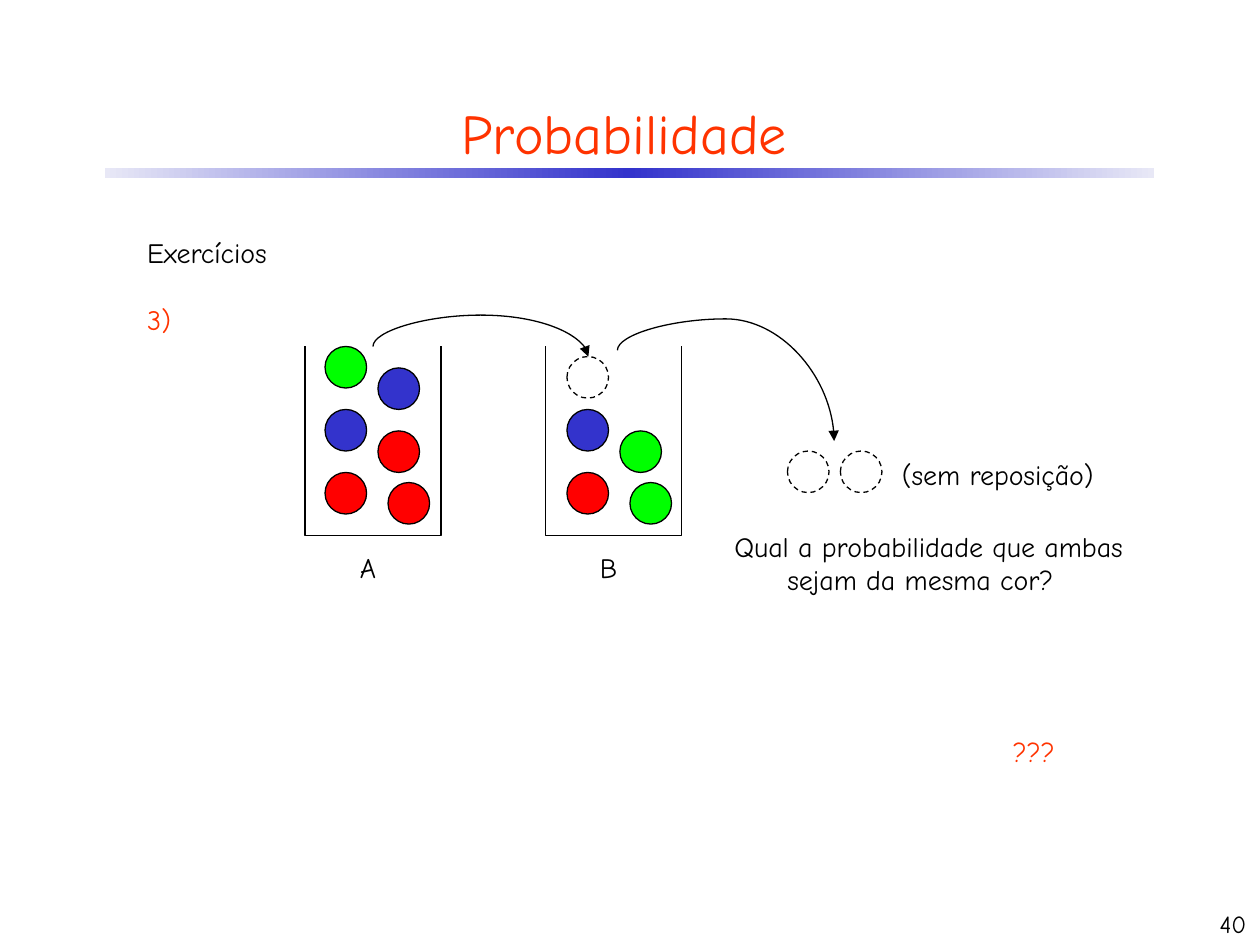
from copy import deepcopy

from lxml import etree
from pptx import Presentation
from pptx.dml.color import RGBColor
from pptx.enum.dml import MSO_LINE
from pptx.enum.shapes import MSO_CONNECTOR, MSO_SHAPE
from pptx.enum.text import MSO_ANCHOR, MSO_AUTO_SIZE, PP_ALIGN
from pptx.oxml.ns import qn
from pptx.util import Inches, Pt

CURVE = MSO_CONNECTOR.CURVE
OVAL, RECT = MSO_SHAPE.OVAL, MSO_SHAPE.RECTANGLE
DASH = MSO_LINE.DASH
MIDDLE, TOP, BOTTOM = MSO_ANCHOR.MIDDLE, MSO_ANCHOR.TOP, MSO_ANCHOR.BOTTOM
LEFT, CENTER, RIGHT = PP_ALIGN.LEFT, PP_ALIGN.CENTER, PP_ALIGN.RIGHT
FIT = MSO_AUTO_SIZE.SHAPE_TO_FIT_TEXT

FONT = "Comic Neue"
COLORS = {"black": "000000", "accent": "FF3300", "pale": "E8E8F6",
          "blue": "3333CC", "green": "00FF00", "red": "FF0000"}
BALL = 0.33
JAR_A = [(0.16, 0, "green"), (0.58, 0.17, "blue"), (0.16, 0.5, "blue"),
         (0.58, 0.67, "red"), (0.16, 1, "red"), (0.66, 1.08, "red")]
JAR_B = [(0.17, 0.5, "blue"), (0.59, 0.67, "green"),
         (0.17, 1, "red"), (0.67, 1.08, "green")]


def rgb(name):
    return RGBColor.from_string(COLORS[name])


def style_paragraph(p, size, color, align):
    p.alignment = align
    p.font.name = FONT
    p.font.size = Pt(size)
    p.font.color.rgb = rgb(color)


def add_text(s, box, lines, size=16, align=LEFT, anchor=TOP, wrap=True, hang=0, fit=True):
    tf = s.shapes.add_textbox(*map(Inches, box)).text_frame
    tf.word_wrap = wrap
    tf.vertical_anchor = anchor
    if fit:
        tf.auto_size = FIT
    for i, (text, color) in enumerate(lines):
        p = tf.add_paragraph() if i else tf.paragraphs[0]
        p.text = text
        style_paragraph(p, size, color, align)
        if i:
            p.space_before = Pt(19)
        if hang:
            pPr = p._p.get_or_add_pPr()
            pPr.set("marL", str(Inches(hang)))
            pPr.set("indent", str(-Inches(hang)))


def outline(sp):
    sp.line.color.rgb = rgb("black")
    sp.line.width = Pt(0.75)


def add_ball(shapes, x, y, color=None):
    sp = shapes.add_shape(OVAL, Inches(x), Inches(y), Inches(BALL), Inches(BALL))
    sp.shadow.inherit = False
    outline(sp)
    if color:
        sp.fill.solid()
        sp.fill.fore_color.rgb = rgb(color)
    else:
        sp.fill.background()
        sp.line.dash_style = DASH


def add_jar(s, box, balls):
    x, y, w, h = box
    shapes = s.shapes.add_group_shape().shapes
    fb = shapes.build_freeform(Inches(x), Inches(y))
    corners = [(x, y + h), (x + w, y + h), (x + w, y)]
    fb.add_line_segments([(Inches(cx), Inches(cy)) for cx, cy in corners], close=False)
    sp = fb.convert_to_shape()
    sp.shadow.inherit = False
    sp.fill.background()
    outline(sp)
    for dx, dy, color in balls:
        add_ball(shapes, x + dx, y + dy, color)


def add_arc_arrow(s, start, end, rise=0.25):
    (x1, y1), (x2, y2) = start, end
    cx, cy = (x1 + x2) / 2, (y1 + y2) / 2
    run, drop = x2 - x1, y2 - y1
    c = s.shapes.add_connector(CURVE, Inches(cx - drop / 2), Inches(cy + run / 2),
                               Inches(cx + drop / 2), Inches(cy - run / 2))
    outline(c)
    spPr = c._element.spPr
    spPr.find(qn("a:xfrm")).set("rot", "5400000")
    geom = spPr.find(qn("a:prstGeom"))
    guides = geom.find(qn("a:avLst"))
    if guides is None:
        guides = etree.SubElement(geom, qn("a:avLst"))
    etree.SubElement(guides, qn("a:gd"), name="adj1",
                     fmla=f"val {round(-rise / drop * 100000)}")
    etree.SubElement(spPr.find(qn("a:ln")), qn("a:tailEnd"), type="triangle")
    etree.SubElement(spPr, qn("a:effectLst"))


def add_header(s, title_box, bar_box):
    bar = s.shapes.add_shape(RECT, *map(Inches, bar_box))
    bar.shadow.inherit = False
    bar.line.fill.background()
    bar.fill.gradient()
    bar.fill.gradient_angle = 0
    first, last = bar.fill.gradient_stops
    first.color.rgb, first.position = rgb("blue"), 0.5
    last.color.rgb, last.position = rgb("pale"), 1
    stops = bar._element.spPr.find(qn("a:gradFill")).find(qn("a:gsLst"))
    start = deepcopy(stops[-1])
    start.set("pos", "0")
    stops.insert(0, start)

    title = s.shapes.title
    title.left, title.top, title.width, title.height = map(Inches, title_box)
    tf = title.text_frame
    tf.text = "Probabilidade"
    tf.vertical_anchor = MIDDLE
    style_paragraph(tf.paragraphs[0], 32, "accent", CENTER)


def add_urns(s, box):
    x, y, w, h = box
    b = x + 1.91
    add_jar(s, (x, y, w, h), JAR_A)
    add_jar(s, (b, y, w, h), JAR_B)
    add_ball(s.shapes, b + 0.17, y + 0.08)
    add_arc_arrow(s, (x + 0.54, y), (b + 0.34, y + 0.08))
    for left, name in ((x, "A"), (b, "B")):
        add_text(s, (left + 0.32, y + h + 0.07, 0.36, 0.37), [(name, "black")],
                 align=CENTER, wrap=False)


def add_draw(s, box):
    x, y, w, h = box
    pair = s.shapes.add_group_shape().shapes
    for i in range(2):
        add_ball(pair, x + 0.52 + 0.42 * i, y)
    add_arc_arrow(s, (4.9, 2.78), (x + 0.89, y - 0.08))
    add_text(s, (x + 1.33, y, 2.05, 0.37), [("(sem reposição)", "black")], hang=0.42)
    add_text(s, (x, y + 0.57, w, h - 0.57),
             [("Qual a probabilidade que ambas sejam da mesma cor?", "black")], hang=0.42)


def main():
    prs = Presentation()
    prs.slide_width, prs.slide_height = Inches(10), Inches(7.5)
    s = prs.slides.add_slide(prs.slide_layouts[5])
    add_header(s, (0.33, 0.67, 9.25, 0.75), (0.83, 1.33, 8.33, 0.08))
    add_text(s, (1.07, 1.82, 7.77, 0.9), [("Exercícios", "black"), ("3)", "accent")], hang=0.5)
    add_urns(s, (2.42, 2.75, 1.08, 1.5))
    add_draw(s, (5.73, 3.58, 3.6, 1.21))
    add_text(s, (7.94, 5.78, 0.55, 0.37), [("???", "accent")], wrap=False)
    add_text(s, (7.91, 7, 2.08, 0.5), [("40", "black")], size=14, align=RIGHT,
             anchor=BOTTOM, fit=False)
    prs.save("out.pptx")


if __name__ == "__main__":
    main()
